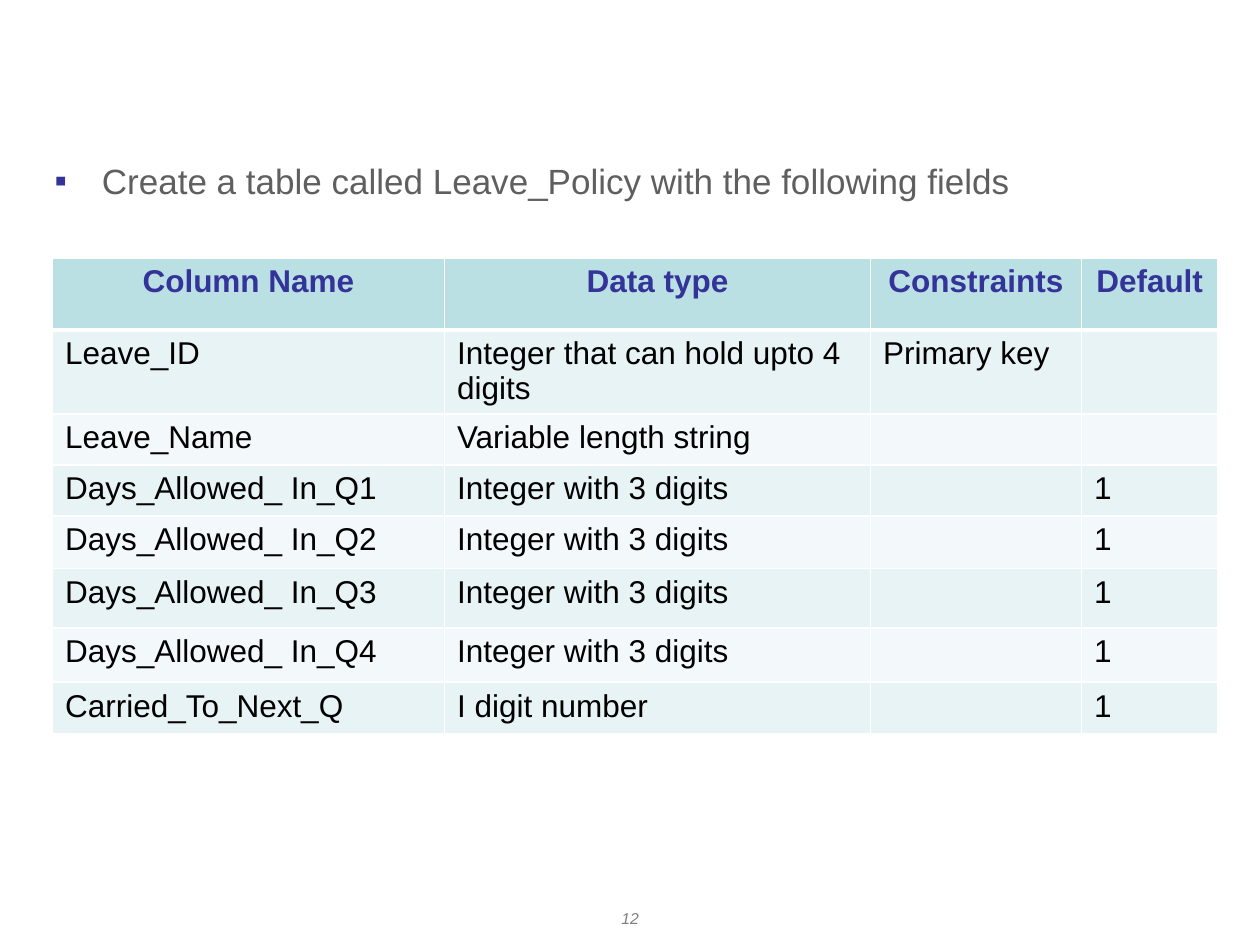
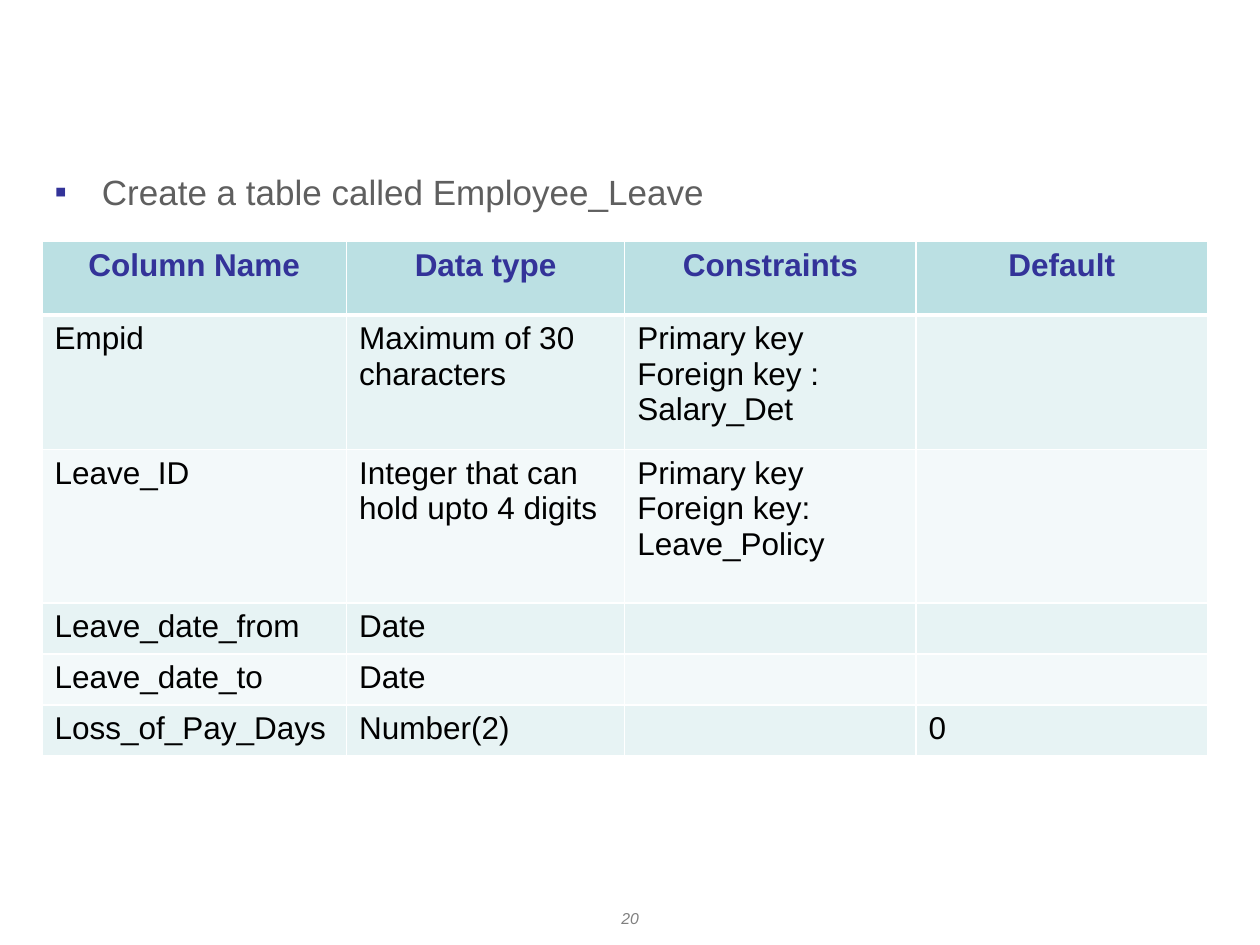
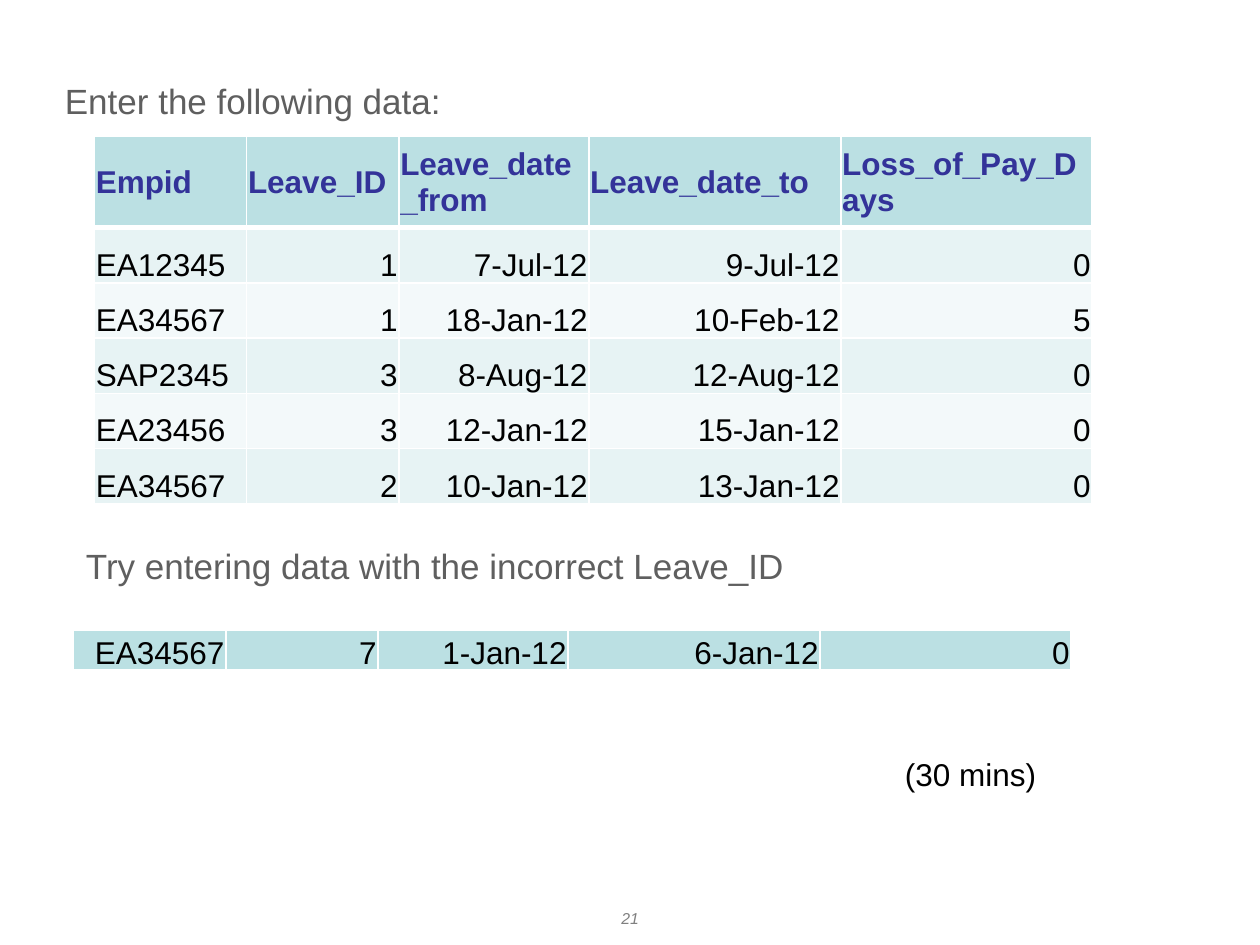
"""Build three slides of a database exercise on leave policy and employee leave."""
from lxml import etree
from pptx import Presentation
from pptx import util as u
from pptx.dml.color import RGBColor
from pptx.enum import text
from pptx.oxml import ns

FONT = "Arial"
INDIGO, GREY, PALE_GREY, BLACK, WHITE = "333399", "5F5F5F", "808080", "000000", "FFFFFF"
HEADER_TEAL, BANDS = "BBE0E3", ("E7F3F4", "F3F9FA")
LEFT, CENTER, RIGHT = text.PP_ALIGN.LEFT, text.PP_ALIGN.CENTER, text.PP_ALIGN.RIGHT
TOP, MIDDLE, BOTTOM = text.MSO_ANCHOR.TOP, text.MSO_ANCHOR.MIDDLE, text.MSO_ANCHOR.BOTTOM
rgb = RGBColor.from_string


def write(frame, words, size, colour, align=LEFT, bold=False, italic=False):
    """Put words into a frame and format every run."""
    frame.text = words
    for paragraph in frame.paragraphs:
        paragraph.alignment = align
        for run in paragraph.runs:
            font = run.font
            font.name, font.size, font.bold, font.italic = FONT, u.Pt(size), bold, italic
            font.color.rgb = rgb(colour)


def add_grid(slide, left, top, widths, heights, rows, header=True, data=False):
    """Add a banded table; data tables have tight cells and right-aligned values."""
    grid = slide.shapes.add_table(len(rows), len(widths), u.Pt(left), u.Pt(top),
                                  u.Pt(sum(widths)), u.Pt(sum(heights))).table
    for column, width in zip(grid.columns, widths):
        column.width = u.Pt(width)
    for r, (row, height) in enumerate(zip(rows, heights)):
        grid.rows[r].height = u.Pt(height)
        heading = header and r == 0
        for c, words in enumerate(row):
            cell = grid.cell(r, c)
            if data:
                cell.margin_left = cell.margin_right = cell.margin_top = u.Pt(0.75)
                cell.margin_bottom = 0
                cell.vertical_anchor = MIDDLE if heading else BOTTOM
                align = LEFT if heading or (header and c == 0) else RIGHT
            else:
                cell.vertical_anchor = TOP
                align = CENTER if heading else LEFT
            write(cell.text_frame, words, 18, INDIGO if heading else BLACK, align, heading)
            edges = {"lnL": 1, "lnR": 1, "lnT": 3 if r == 1 else 1, "lnB": 3 if r == 0 else 1}
            properties = cell._tc.get_or_add_tcPr()
            for edge, points in edges.items():
                line = etree.SubElement(properties, ns.qn(f"a:{edge}"), w=str(u.Pt(points)))
                fill = etree.SubElement(line, ns.qn("a:solidFill"))
                etree.SubElement(fill, ns.qn("a:srgbClr"), val=WHITE)
            cell.fill.solid()
            cell.fill.fore_color.rgb = rgb(HEADER_TEAL if r == 0 else BANDS[(r - 1) % 2])


prs = Presentation()
prs.slide_width, prs.slide_height = u.Pt(720), u.Pt(540)
CONTENT_LAYOUT, BLANK_LAYOUT = prs.slide_layouts[1], prs.slide_layouts[6]

field_headings = ["Column Name", "Data type", "Constraints", "Default"]
policy_fields = [
    field_headings,
    ["Leave_ID", "Integer that can hold upto 4 digits", "Primary key", ""],
    ["Leave_Name", "Variable length string", "", ""],
    *[[f"Days_Allowed_ In_Q{quarter}", "Integer with 3 digits", "", "1"] for quarter in range(1, 5)],
    ["Carried_To_Next_Q", "I digit number", "", "1"],
]
leave_fields = [
    field_headings,
    ["Empid", "Maximum of 30 characters", "Primary key\nForeign key : Salary_Det", ""],
    ["Leave_ID", "Integer that can hold upto 4 digits", "Primary key\nForeign key: Leave_Policy", ""],
    ["Leave_date_from", "Date", "", ""],
    ["Leave_date_to", "Date", "", ""],
    ["Loss_of_Pay_Days", "Number(2)", "", "0"],
]
definitions = [
    ("Create a table called Leave_Policy with the following fields", 78, 30, 147.5,
     [224, 243.5, 120.5, 78], [41, 48, 27.5, 27.5, 30, 34, 31, 27], policy_fields),
    ("Create a table called Employee_Leave", 84, 24, 138,
     [174, 159, 166.5, 166.5], [42, 77, 87.5, 27.5, 29, 28], leave_fields),
]
for task, task_top, left, top, widths, heights, fields in definitions:
    slide = prs.slides.add_slide(CONTENT_LAYOUT)
    slide.shapes.title._element.getparent().remove(slide.shapes.title._element)
    body = slide.placeholders[1]
    body.left, body.top, body.width, body.height = u.Pt(24), u.Pt(task_top), u.Pt(648), u.Pt(48)
    body.text_frame.auto_size = text.MSO_AUTO_SIZE.NONE
    write(body.text_frame, task, 20, GREY)
    paragraph = body.text_frame.paragraphs[0]
    paragraph.line_spacing, paragraph.space_before = 1.4, u.Pt(4)
    bullet = paragraph._p.get_or_add_pPr()
    bullet.set("marL", str(u.Pt(27)))
    bullet.set("indent", str(-u.Pt(27)))
    bullet_colour = etree.SubElement(bullet, ns.qn("a:buClr"))
    etree.SubElement(bullet_colour, ns.qn("a:srgbClr"), val=INDIGO)
    etree.SubElement(bullet, ns.qn("a:buFont"), typeface=FONT)
    etree.SubElement(bullet, ns.qn("a:buChar"), char="▪")
    add_grid(slide, left, top, widths, heights, fields)

leave_records = [
    ["Empid", "Leave_ID", "Leave_date_from", "Leave_date_to", "Loss_of_Pay_Days"],
    ["EA12345", "1", "7-Jul-12", "9-Jul-12", "0"],
    ["EA34567", "1", "18-Jan-12", "10-Feb-12", "5"],
    ["SAP2345", "3", "8-Aug-12", "12-Aug-12", "0"],
    ["EA23456", "3", "12-Jan-12", "15-Jan-12", "0"],
    ["EA34567", "2", "10-Jan-12", "13-Jan-12", "0"],
]
incorrect_record = ["EA34567", "7", "1-Jan-12", "6-Jan-12", "0"]
record_widths = [87, 87, 108.5, 144, 143.5]

slide = prs.slides.add_slide(BLANK_LAYOUT)
add_grid(slide, 54, 78, record_widths, [52] + [31.6] * 5, leave_records, data=True)
add_grid(slide, 42, 360, record_widths, [23.5], [incorrect_record], header=False, data=True)
for words, left, top, width, height, size, colour in [
    ("(30 mins)", 510, 428, 90, 29, 18, BLACK),
    ("Try entering data with the incorrect Leave_ID", 42, 307.5, 422, 31.5, 20, GREY),
    ("Enter the following data:", 30, 42, 237, 31.5, 20, GREY),
]:
    instruction = slide.shapes.add_textbox(u.Pt(left), u.Pt(top), u.Pt(width), u.Pt(height))
    instruction.text_frame.word_wrap = False
    instruction.text_frame.auto_size = text.MSO_AUTO_SIZE.SHAPE_TO_FIT_TEXT
    write(instruction.text_frame, words, size, colour)

for slide, number in zip(prs.slides, ("12", "20", "21")):
    page_number = slide.shapes.add_textbox(u.Pt(276), u.Pt(516), u.Pt(168), u.Pt(19))
    page_number.text_frame.word_wrap = True
    write(page_number.text_frame, number, 9, PALE_GREY, CENTER, italic=True)

prs.save("out.pptx")
